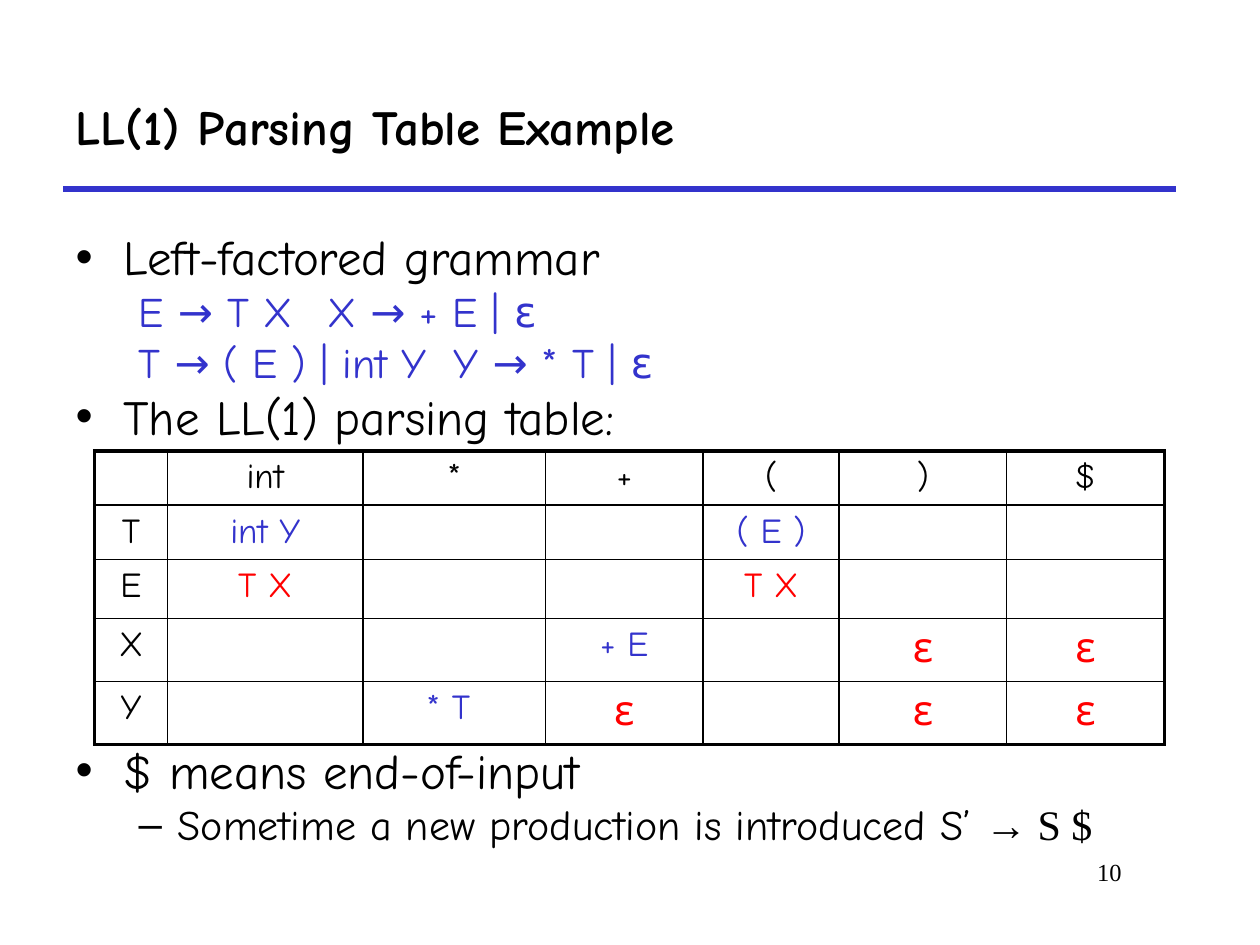
"""Build the slide that shows an LL(1) parsing table."""
from dataclasses import dataclass

from lxml.etree import SubElement
from pptx import Presentation
from pptx.dml.color import RGBColor
from pptx.enum.shapes import MSO_CONNECTOR
from pptx.enum.text import MSO_ANCHOR, MSO_AUTO_SIZE, PP_ALIGN
from pptx.oxml import parse_xml
from pptx.oxml.ns import nsdecls, qn
from pptx.util import Inches, Pt


@dataclass(frozen=True)
class Theme:
    font: str = "Comic Neue"
    serif: str = "Times New Roman"
    black: str = "000000"
    blue: str = "3333CC"
    red: str = "FF0000"
    heading: int = 28
    detail: int = 24
    cell: int = 20
    number: int = 14
    thin: float = 1
    thick: float = 2.25


theme = Theme()


def add_span(para, text, size, color=theme.black, font=theme.font, bold=False):
    span = para.add_run()
    span.text = text
    span.font.size = Pt(size)
    span.font.name = font
    span.font.bold = bold
    span.font.color.rgb = RGBColor.from_string(color)


def add_border(cell, position, side, width):
    cell.fill.background()
    border = parse_xml(
        f'<a:ln{side} {nsdecls("a")} w="{Pt(width)}"><a:solidFill>'
        f'<a:srgbClr val="{theme.black}"/></a:solidFill></a:ln{side}>'
    )
    cell._tc.get_or_add_tcPr().insert(position, border)


deck = Presentation()
deck.slide_width, deck.slide_height = Inches(10), Inches(7.5)
page = deck.slides.add_slide(deck.slide_layouts[1])

rule = page.shapes.add_connector(
    MSO_CONNECTOR.STRAIGHT, Inches(0.5), Inches(1.5), Inches(9.33), Inches(1.5)
)
rule.line.color.rgb = RGBColor.from_string(theme.blue)
rule.line.width = Pt(3)
SubElement(rule._element.spPr, qn("a:effectLst"))

title = page.shapes.title
title.left, title.top = Inches(0.5), Inches(0.5)
title.width, title.height = Inches(8.83), Inches(1)
title.text_frame.vertical_anchor = MSO_ANCHOR.MIDDLE
title.text_frame.auto_size = MSO_AUTO_SIZE.NONE
para = title.text_frame.paragraphs[0]
para.alignment = PP_ALIGN.LEFT
add_span(para, "LL(1) Parsing Table Example", theme.heading, bold=True)

body = page.placeholders[1]
body.left, body.top = Inches(0.5), Inches(1.75)
body.width, body.height = Inches(9.08), Inches(4.83)
body.text_frame.auto_size = MSO_AUTO_SIZE.NONE

table_gap = 168.5
outline = [
    ("•", 0, None, [("Left-factored grammar", theme.font)]),
    (None, 0, 5.17, [("E → T X\tX → + E | ε", theme.font)]),
    (None, 0, 4.9, [("T → ( E ) | int Y\tY → * T | ε", theme.font)]),
    ("•", 0, None, [("The LL(1) parsing table:", theme.font)]),
    ("•", table_gap, None, [("$ means end-of-input", theme.font)]),
    ("–", 0, None, [
        ("Sometime a new production is introduced S’ ", theme.font),
        ("→ S $", theme.serif),
    ]),
]
indents = {"•": (0.38, -0.38), "–": (0.81, -0.31), None: (0, 0.5)}
for index, (bullet, gap, tab, spans) in enumerate(outline):
    para = body.text_frame.paragraphs[0] if index == 0 else body.text_frame.add_paragraph()
    para.level = 0 if bullet == "•" else 1
    para.space_before = Pt(gap)
    margin, indent = indents[bullet]
    properties = para._p.get_or_add_pPr()
    properties.set("marL", str(Inches(margin)))
    properties.set("indent", str(Inches(indent)))
    if bullet:
        SubElement(properties, qn("a:buChar"), char=bullet)
    else:
        SubElement(properties, qn("a:buNone"))
        stops = SubElement(properties, qn("a:tabLst"))
        SubElement(stops, qn("a:tab"), pos=str(Inches(tab)), algn="l")
    size = theme.heading if bullet == "•" else theme.detail
    color = theme.black if bullet else theme.blue
    for text, font in spans:
        add_span(para, text, size, color, font)

rows = [
    ["", "int", "*", "+", "(", ")", "$"],
    ["T", "int Y", "", "", "( E )", "", ""],
    ["E", "T X", "", "", "T X", "", ""],
    ["X", "", "", "+ E", "", "ε", "ε"],
    ["Y", "", "* T ", "ε", "", "ε", "ε"],
]
widths = [0.58, 1.55, 1.45, 1.25, 1.08, 1.33, 1.25]
heights = [0.43, 0.43, 0.47, 0.5, 0.5]
last_row, last_column = len(rows) - 1, len(widths) - 1
parsing_table = page.shapes.add_table(
    len(rows), len(widths), Inches(0.75), Inches(3.58), Inches(8.5), Inches(2.34)
).table
parsing_table.first_row = False
parsing_table.horz_banding = False
for column, width in zip(parsing_table.columns, widths):
    column.width = Inches(width)
for row, height in zip(parsing_table.rows, heights):
    row.height = Inches(height)

for row_index, row in enumerate(rows):
    for column_index, text in enumerate(row):
        cell = parsing_table.cell(row_index, column_index)
        edges = {
            "L": column_index == 0,
            "R": column_index == last_column,
            "T": row_index == 0,
            "B": row_index == last_row,
        }
        for position, (side, outer) in enumerate(edges.items()):
            add_border(cell, position, side, theme.thick if outer else theme.thin)
        if not text:
            continue
        if row_index == 0 or column_index == 0:
            color = theme.black
        elif text in ("T X", "ε"):
            color = theme.red
        else:
            color = theme.blue
        size = theme.detail if text == "ε" else theme.cell
        para = cell.text_frame.paragraphs[0]
        para.alignment = PP_ALIGN.CENTER
        para.space_before = Pt(size * 0.2)
        add_span(para, text, size, color)

number = page.shapes.add_textbox(Inches(6.92), Inches(6.75), Inches(2.08), Inches(0.5))
number.text_frame.word_wrap = True
para = number.text_frame.paragraphs[0]
para.alignment = PP_ALIGN.RIGHT
add_span(para, "10", theme.number, font=theme.serif)

deck.save("out.pptx")
